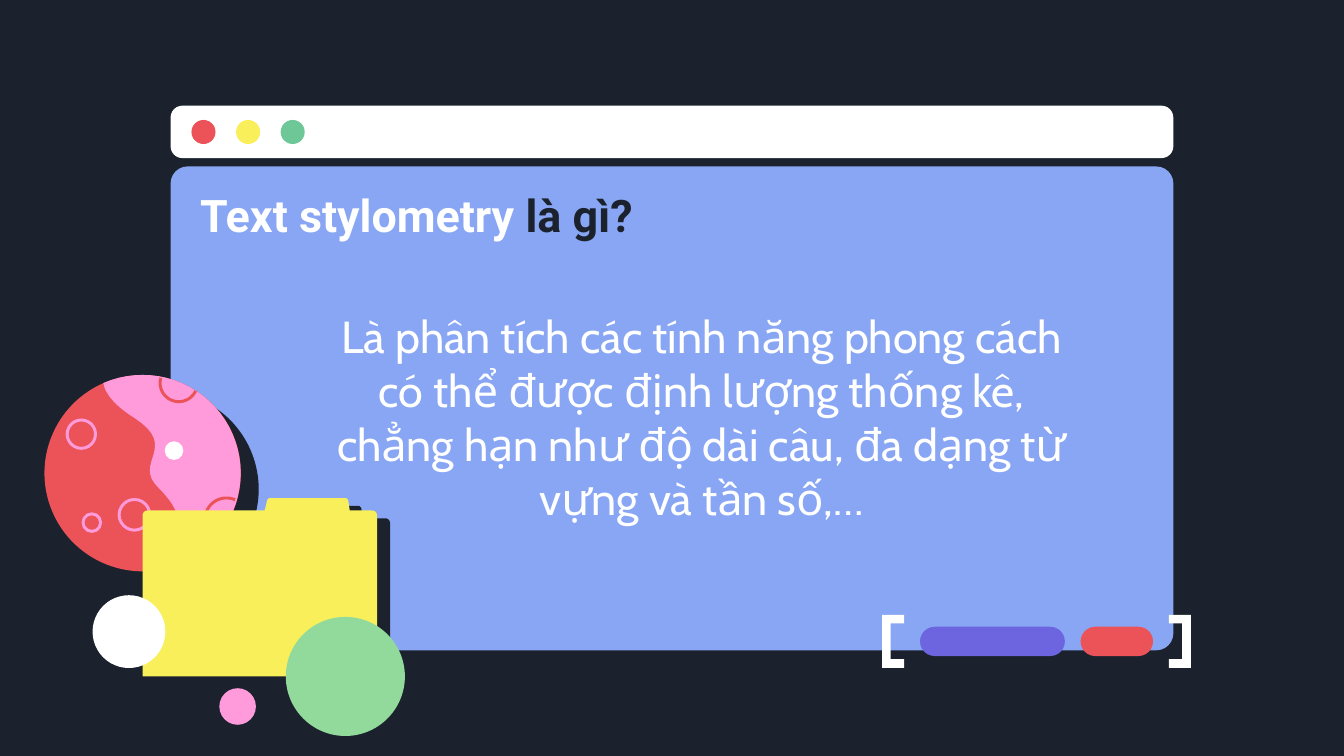
from math import cos, radians, sin

from lxml import etree
from pptx import Presentation
from pptx.dml.color import RGBColor
from pptx.enum.shapes import MSO_SHAPE
from pptx.enum.text import MSO_ANCHOR, PP_ALIGN
from pptx.oxml.ns import qn
from pptx.util import Pt

OVAL = MSO_SHAPE.OVAL
ROUND = MSO_SHAPE.ROUNDED_RECTANGLE
TOP, MIDDLE = MSO_ANCHOR.TOP, MSO_ANCHOR.MIDDLE
LEFT, CENTER = PP_ALIGN.LEFT, PP_ALIGN.CENTER

DARK = RGBColor(0x1B, 0x22, 0x2D)
WHITE = RGBColor(0xFF, 0xFF, 0xFF)
BLUE = RGBColor(0x88, 0xA6, 0xF3)
RED = RGBColor(0xEB, 0x53, 0x58)
YELLOW = RGBColor(0xF8, 0xEF, 0x5B)
GREEN = RGBColor(0x6D, 0xC7, 0x97)
MINT = RGBColor(0x92, 0xD9, 0x9C)
PINK = RGBColor(0xFF, 0x9B, 0xDA)
PURPLE = RGBColor(0x6D, 0x65, 0xE0)


def arc(x, y, r, start, end, steps=40):
    """Points on a circle, angles in degrees, clockwise from the right."""
    turns = [radians(start + (end - start) * i / steps) for i in range(steps + 1)]
    return [(x + r * cos(t), y + r * sin(t)) for t in turns]


def curve(a, b, c, d, steps=16):
    """Points on a cubic curve, without its start."""
    points = []
    for i in range(1, steps + 1):
        t = i / steps
        u = 1 - t
        points.append(tuple(
            u**3 * p + 3 * u * u * t * q + 3 * u * t * t * r + t**3 * s
            for p, q, r, s in zip(a, b, c, d)))
    return points


class Deck:
    size = 24
    stroke = 1.6
    inset = 7.2

    def __init__(self, wide, high):
        self.file = Presentation()
        self.file.slide_width, self.file.slide_height = Pt(wide), Pt(high)
        self.slide = self.file.slides.add_slide(self.file.slide_layouts[6])
        back = self.slide.background.fill
        back.solid()
        back.fore_color.rgb = DARK

    def paint(self, shape, fill=None, line=None):
        shape.shadow.inherit = False
        if fill is None:
            shape.fill.background()
        else:
            shape.fill.solid()
            shape.fill.fore_color.rgb = fill
        if line is None:
            shape.line.fill.background()
        else:
            shape.line.color.rgb = line
            shape.line.width = Pt(self.stroke)
        return shape

    def panel(self, x, y, w, h, fill, radius):
        shape = self.slide.shapes.add_shape(ROUND, Pt(x), Pt(y), Pt(w), Pt(h))
        shape.adjustments[0] = radius / min(w, h)
        self.paint(shape, fill)

    def disc(self, x, y, r, fill=None, line=None):
        shape = self.slide.shapes.add_shape(
            OVAL, Pt(x - r), Pt(y - r), Pt(2 * r), Pt(2 * r))
        self.paint(shape, fill, line)

    def outline(self, points, fill=None, line=None):
        first, *rest = [(Pt(x), Pt(y)) for x, y in points]
        pen = self.slide.shapes.build_freeform(*first, scale=1.0)
        pen.add_line_segments(rest, close=fill is not None)
        return self.paint(pen.convert_to_shape(), fill, line)

    def shade(self, shape, color, gap, angle):
        effects = shape._element.spPr.find(qn("a:effectLst"))
        cast = etree.SubElement(
            effects, qn("a:outerShdw"), blurRad="0", dist=str(Pt(gap)),
            dir=str(angle * 60000), algn="bl", rotWithShape="0")
        etree.SubElement(cast, qn("a:srgbClr"), val=str(color))

    def text(self, x, y, w, h, parts, font, bold=False, align=LEFT,
             anchor=TOP, after=0):
        frame = self.slide.shapes.add_textbox(Pt(x), Pt(y), Pt(w), Pt(h)).text_frame
        frame.word_wrap = True
        frame.vertical_anchor = anchor
        frame.margin_left = frame.margin_right = Pt(self.inset)
        frame.margin_top = frame.margin_bottom = Pt(self.inset)
        para = frame.paragraphs[0]
        para.alignment = align
        para.space_after = Pt(after)
        for words, color in parts:
            run = para.add_run()
            run.text = words
            run.font.name = font
            run.font.size = Pt(self.size)
            run.font.bold = bold
            run.font.color.rgb = color


def main():
    deck = Deck(720, 405)

    # Window
    deck.panel(91.4, 56.6, 537.2, 28.1, WHITE, 6.3)
    for i, color in enumerate((RED, YELLOW, GREEN)):
        deck.disc(109 + 23.9 * i, 70.7, 6.45, color)
    deck.panel(91.4, 89.2, 537.2, 259.2, BLUE, 9.1)

    # Planet
    deck.disc(86, 262.1, 52.6, DARK)
    deck.disc(76.4, 253.5, 52.6, RED)
    for x, y, r in ((43.6, 232.6, 7.6), (72, 275.8, 8.2), (49.2, 280, 4.7)):
        deck.disc(x, y, r, line=PINK)
    land = arc(76.4, 253.5, 52.6, -113.4, 75)
    for bend in (((99.4, 283.7), (97.9, 274.3), (85, 261.4)),
                 ((70.6, 247.7), (96.5, 239.8), (72, 223.9)),
                 ((60.5, 216.7), (56.2, 210.2), (55.4, 205.2))):
        land += curve(land[-1], *bend)
    deck.outline(land, PINK)
    deck.outline(arc(95.8, 205.2, 10, 25, 196), line=RED)
    deck.outline(arc(121.3, 278.3, 11.5, 117, 294), line=RED)
    deck.disc(93.2, 241.4, 5, WHITE)

    # Folder
    folder = deck.outline(
        [(76.4, 362.4)] + arc(79, 276.1, 2.6, 180, 270, 6)
        + [(141.8, 273.5), (143.2, 267.8), (144.2, 266.8),
           (185.4, 266.8), (186.5, 267.8), (187.4, 273.5)]
        + arc(199.4, 276.1, 2.6, 270, 360, 6) + [(202, 362.4)], YELLOW)
    deck.shade(folder, DARK, 8.2, 31)

    # Definition
    deck.text(172.8, 158.4, 406.1, 126, [(
        "Là phân tích các tính năng phong cách có thể được định lượng "
        "thống kê, chẳng hạn như độ dài câu, đa dạng từ vựng và tần số,…",
        WHITE)], "Cabin", align=CENTER, after=16)

    # Loose discs
    deck.disc(185, 362.4, 31.9, MINT)
    deck.disc(69.1, 338.4, 19.5, WHITE)
    deck.disc(127.3, 378.5, 9.8, PINK)

    # Bracketed pills
    top, low, thick = 329.4, 357.8, 4.6
    for back, tip in ((472.6, 484.3), (637.9, 626.2)):
        stem = back + (thick if tip > back else -thick)
        deck.outline([(tip, top), (back, top), (back, low), (tip, low),
                      (tip, low - thick), (stem, low - thick),
                      (stem, top + thick), (tip, top + thick)], WHITE)
    for x, w, color in ((492.9, 77.6, PURPLE), (578.9, 38.8, RED)):
        deck.panel(x, 335.8, w, 15.7, color, 7.85)

    # Title
    deck.text(100.1, 92.9, 607, 44.6,
              [("Text stylometry ", WHITE), ("là gì?", DARK)],
              "Roboto", bold=True, anchor=MIDDLE)

    deck.file.save("out.pptx")


if __name__ == "__main__":
    main()
